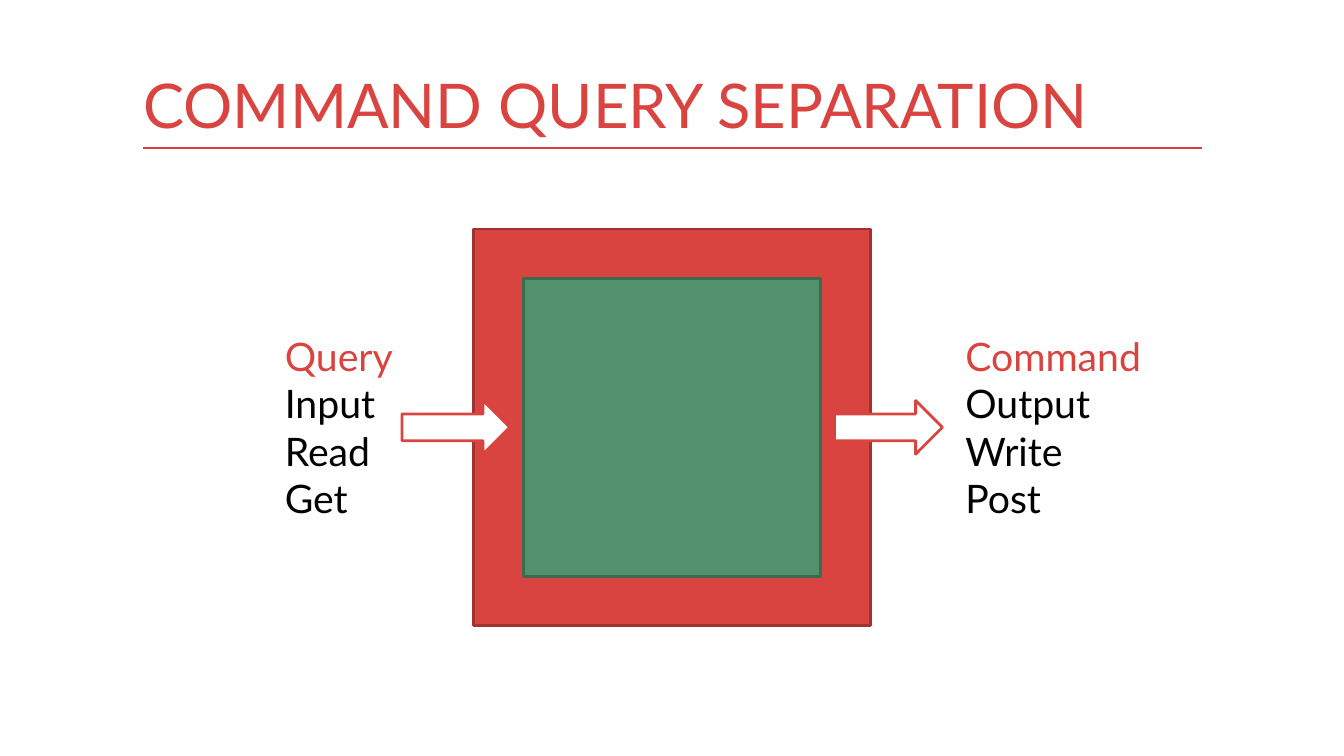
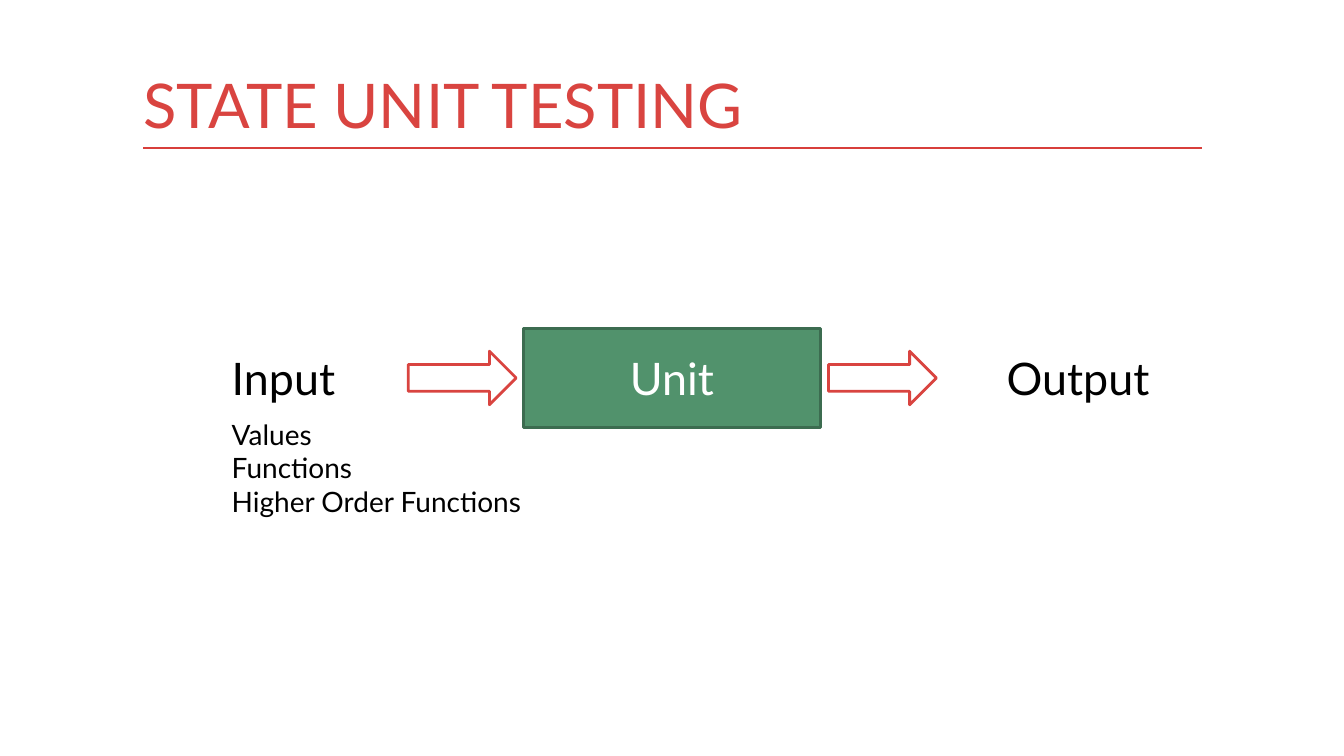
from dataclasses import dataclass
from lxml.etree import SubElement
from pptx import Presentation
from pptx.dml.color import RGBColor
from pptx.enum.shapes import MSO_CONNECTOR, MSO_SHAPE
from pptx.enum.text import MSO_ANCHOR, MSO_AUTO_SIZE, PP_ALIGN
from pptx.oxml.ns import qn
from pptx.util import Cm, Pt


@dataclass(frozen=True)
class Theme:
    font: str = "Lato"
    red: str = "D94440"
    rule: str = "D83F3B"
    brick: str = "A1322F"
    green: str = "51926C"
    moss: str = "3C6C50"
    white: str = "FFFFFF"
    black: str = "000000"
    title: int = 44
    label: int = 32
    words: int = 28
    small: int = 20


# Shared measures in cm
WIDE, HIGH = 33.87, 19.05
MID = WIDE / 2
EDGE, SPAN = 3.61, 26.67
CORE = 7.5


class Deck:
    def __init__(self, theme):
        self.theme = theme
        self.file = Presentation()
        self.file.slide_width, self.file.slide_height = Cm(WIDE), Cm(HIGH)
        self.slide = None

    def style(self, para, size, color):
        for run in para.runs:
            run.font.name = self.theme.font
            run.font.size = Pt(size)
            run.font.color.rgb = RGBColor.from_string(color)

    def page(self, title):
        self.slide = self.file.slides.add_slide(self.file.slide_layouts[5])
        head = self.slide.shapes.title
        head.left, head.top = Cm(EDGE), Cm(1.52)
        head.width, head.height = Cm(SPAN), Cm(2.21)
        frame = head.text_frame
        frame.text = title
        frame.word_wrap = True
        frame.auto_size = MSO_AUTO_SIZE.NONE
        frame.vertical_anchor = MSO_ANCHOR.BOTTOM
        frame.margin_left = frame.margin_right = 0
        frame.margin_top = frame.margin_bottom = Cm(0.18)
        para = frame.paragraphs[0]
        para.alignment = PP_ALIGN.LEFT
        self.style(para, self.theme.title, self.theme.red)
        self.rule(EDGE, 3.73, SPAN)

    def rule(self, left, top, width):
        line = self.slide.shapes.add_connector(
            MSO_CONNECTOR.STRAIGHT, Cm(left), Cm(top), Cm(left + width), Cm(top))
        line.line.color.rgb = RGBColor.from_string(self.theme.rule)
        line.line.width = Pt(1)
        SubElement(line._element.spPr, qn("a:effectLst"))

    def shape(self, kind, left, mid, width, height, fill, edge):
        """Place a shape by its left side and vertical middle."""
        item = self.slide.shapes.add_shape(
            kind, Cm(left), Cm(mid - height / 2), Cm(width), Cm(height))
        item.shadow.inherit = False
        item.fill.solid()
        item.fill.fore_color.rgb = RGBColor.from_string(fill)
        item.line.color.rgb = RGBColor.from_string(edge)
        item.line.width = Pt(2)
        return item

    def box(self, mid, width, height, fill, edge, text=""):
        item = self.shape(MSO_SHAPE.RECTANGLE, MID - width / 2, mid,
                          width, height, fill, edge)
        if text:
            frame = item.text_frame
            frame.text = text
            frame.vertical_anchor = MSO_ANCHOR.MIDDLE
            frame.paragraphs[0].alignment = PP_ALIGN.CENTER
            self.style(frame.paragraphs[0], self.theme.label, self.theme.white)

    def arrow(self, left, mid):
        self.shape(MSO_SHAPE.RIGHT_ARROW, left, mid, 2.72, 1.35,
                   self.theme.white, self.theme.red)

    def text(self, left, top, width, height, lines, size, lead=None):
        item = self.slide.shapes.add_textbox(
            Cm(left), Cm(top), Cm(width), Cm(height))
        frame = item.text_frame
        frame.text = "\n".join(lines)
        frame.word_wrap = False
        frame.auto_size = MSO_AUTO_SIZE.SHAPE_TO_FIT_TEXT
        for para in frame.paragraphs:
            self.style(para, size, self.theme.black)
        if lead:
            self.style(frame.paragraphs[0], size, lead)


theme = Theme()
deck = Deck(theme)

# Command and query: nested squares with an arrow in and out
deck.page("COMMAND QUERY SEPARATION")
mid = 10.77
deck.box(mid, 10, 10, theme.red, theme.brick)
deck.box(mid, CORE, CORE, theme.green, theme.moss)
for left in (10.13, 21.03):
    deck.arrow(left, mid)
for left, width, lines in (
        (24.08, 5.11, ("Command", "Output", "Write", "Post")),
        (6.93, 3.23, ("Query", "Input", "Read", "Get"))):
    deck.text(left, 8.26, width, 5.05, lines, theme.words, theme.red)

# State unit testing: input, unit and output on the middle line
deck.page("STATE UNIT TESTING")
mid = HIGH / 2
for left in (10.29, 20.88):
    deck.arrow(left, mid)
deck.box(mid, CORE, 2.5, theme.green, theme.moss, "Unit")
for left, width, word in ((5.59, 3.18, "Input"), (25.12, 4.11, "Output")):
    deck.text(left, 8.71, width, 1.63, (word,), theme.label)
deck.text(5.59, 10.39, 7.87, 2.82,
          ("Values", "Functions", "Higher Order Functions"), theme.small)

deck.file.save("out.pptx")
